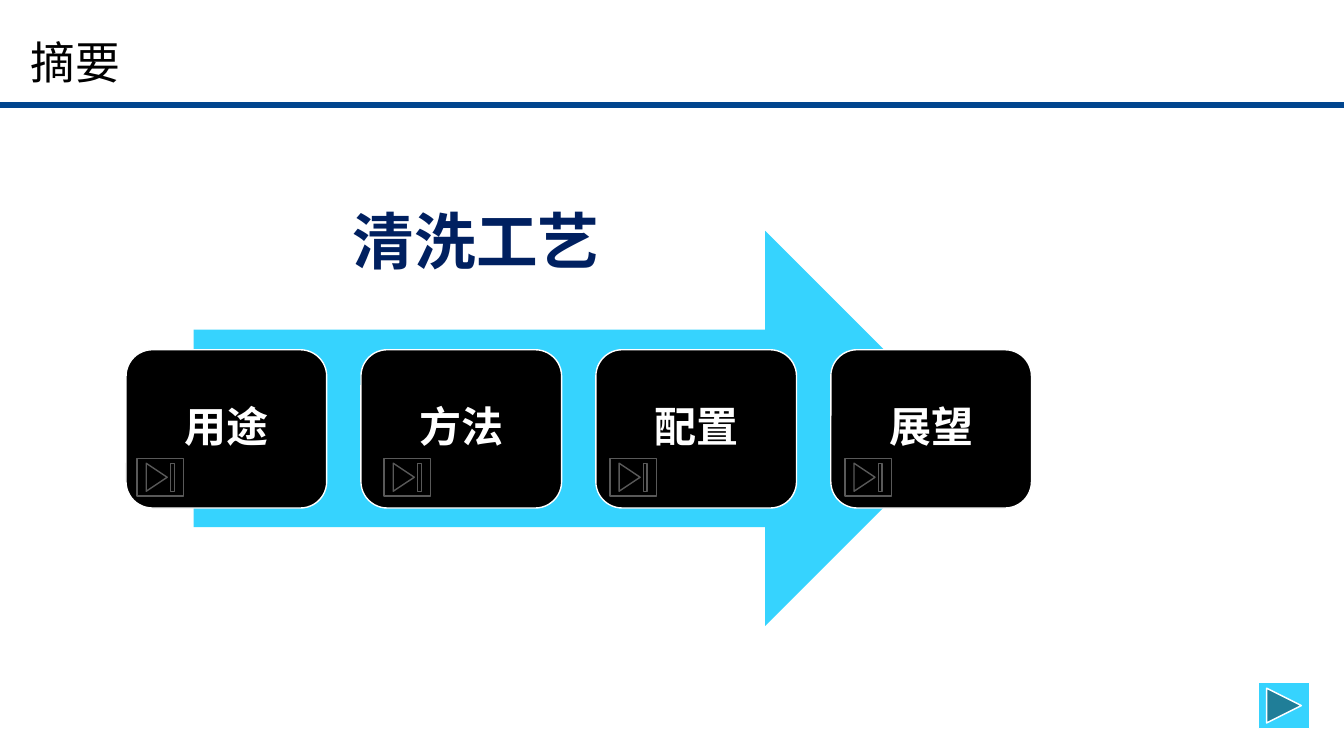
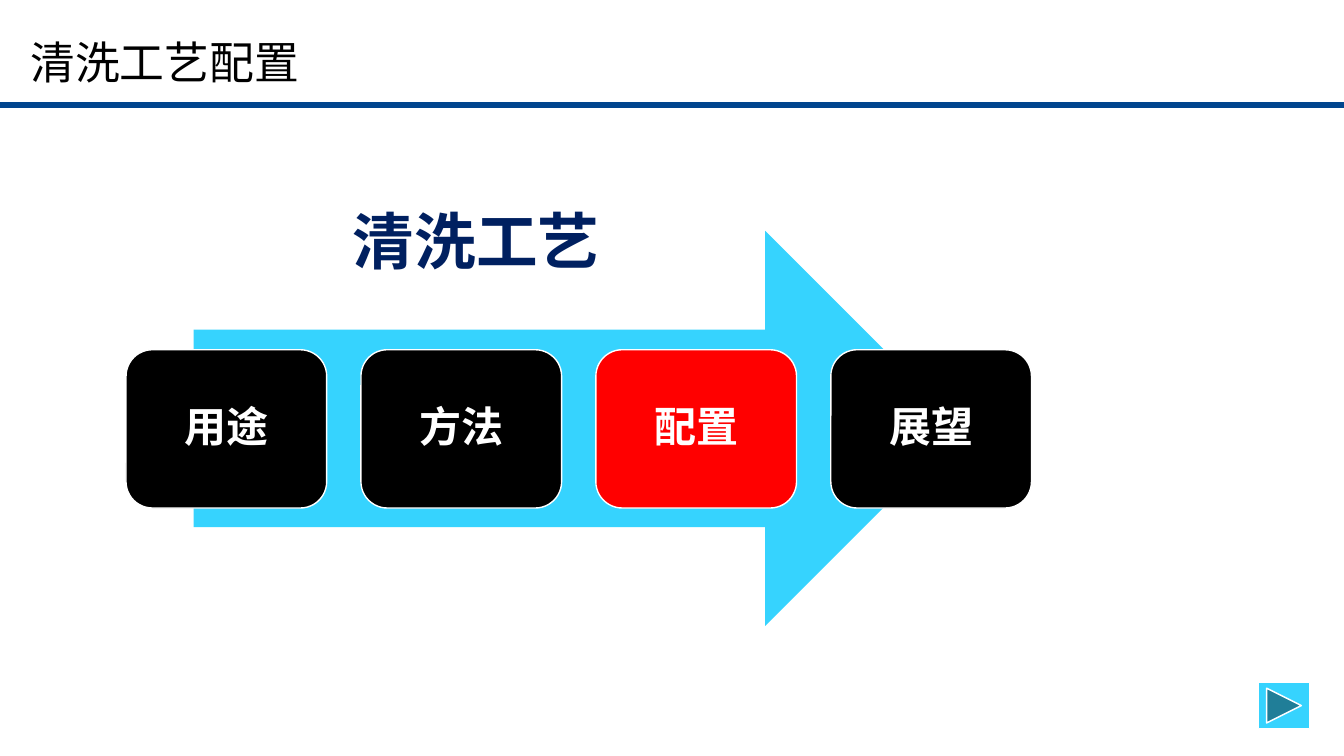
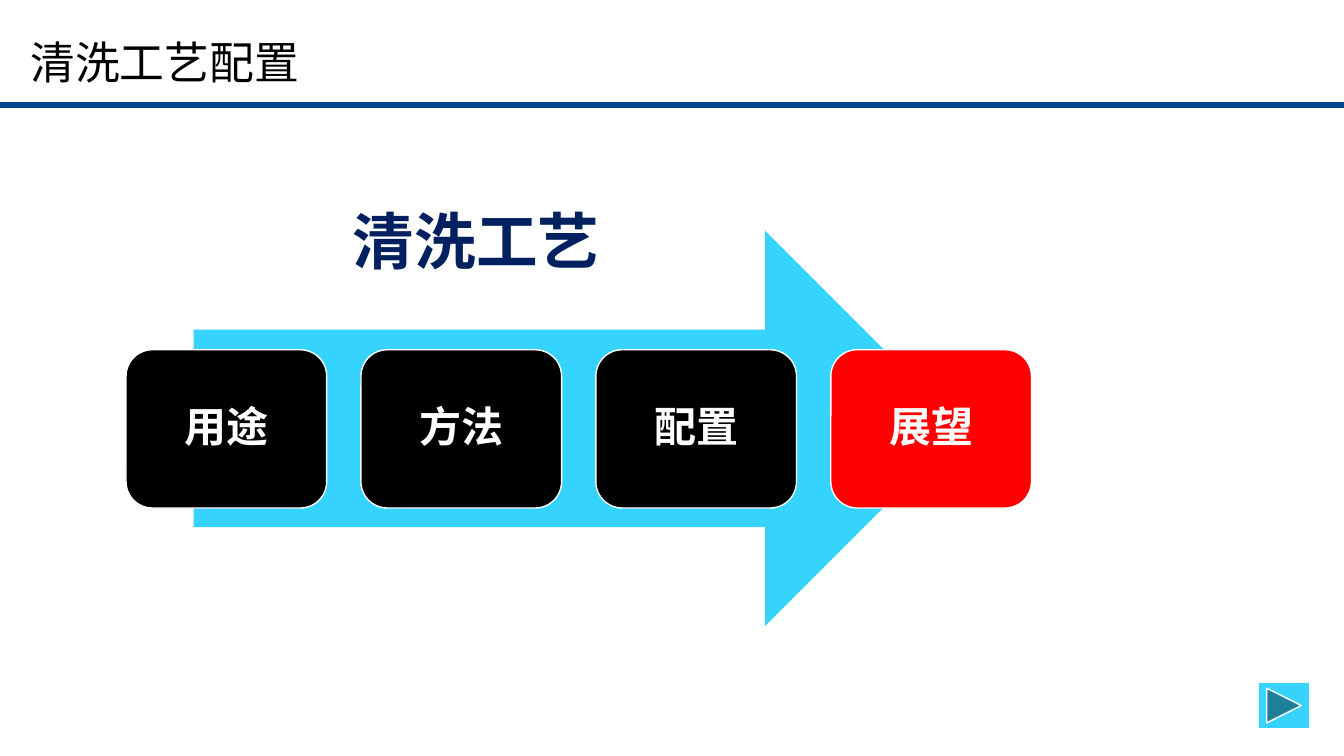
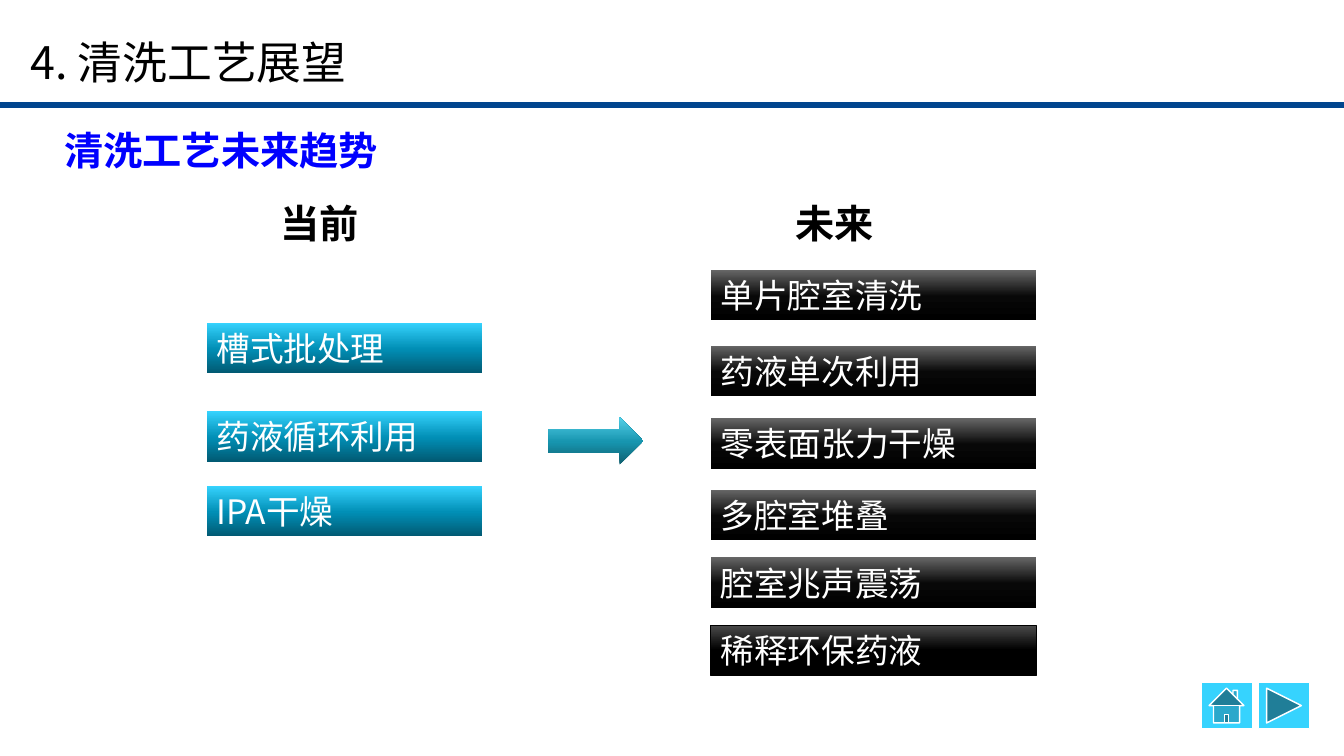
"""Build four slides on the outline and the outlook of a cleaning process."""
from copy import deepcopy

from lxml.etree import SubElement
from pptx import Presentation
from pptx.dml.color import RGBColor
from pptx.enum.shapes import MSO_CONNECTOR, MSO_SHAPE as Shape
from pptx.enum.text import MSO_ANCHOR as Anchor, PP_ALIGN as Align
from pptx.oxml.ns import qn
from pptx.util import Inches, Pt

FONT = "Noto Sans CJK SC"
BLACK, WHITE, RED, NAVY = "000000", "FFFFFF", "FF0000", "002060"
BLUE, CYAN, RULE, GREY = "0000FF", "36D3FE", "01458E", "595959"
CYAN_FADE = (90, [(0, "015A73"), (0.48, "018FB6"), (1, CYAN)])
BLACK_FADE = (90, [(0, BLACK), (0.48, "080808"), (1, "666666")])
LAST_FADE = (270, [(0, "4B4B4B"), (0.5, BLACK), (1, BLACK)])
ARROW_FADE = (90, [(0, "0F5F6F"), (0.48, "1795AF"), (1, "54D0E8")])
color = RGBColor.from_string


def draw(page, kind, area, fill, line=None, width=1):
    """Add a preset shape with a plain or graded fill."""
    shape = page.shapes.add_shape(kind, *map(Inches, area))
    shape.shadow.inherit = False
    if isinstance(fill, str):
        shape.fill.solid()
        shape.fill.fore_color.rgb = color(fill)
    else:
        angle, stops = fill
        shape.fill.gradient()
        shape.fill.gradient_angle = angle
        stop_list = shape.element.spPr.find(".//" + qn("a:gsLst"))
        stop_list.append(deepcopy(stop_list[0]))
        for stop, (position, shade) in zip(shape.fill.gradient_stops, stops):
            stop.position = position
            stop.color.rgb = color(shade)
    if line:
        shape.line.color.rgb = color(line)
        shape.line.width = Pt(width)
    else:
        shape.line.fill.background()
    return shape


def write(shape, text, size, ink, bold=False, align=Align.LEFT, spacing=None, **frame_format):
    """Put one formatted paragraph into a shape."""
    frame = shape.text_frame
    for name, value in ({"word_wrap": True} | frame_format).items():
        setattr(frame, name, value)
    para = frame.paragraphs[0]
    para.alignment = align
    para.line_spacing = spacing
    span = para.add_run()
    span.text = text
    for name, value in {"name": FONT, "size": Pt(size), "bold": bold}.items():
        setattr(span.font, name, value)
    span.font.color.rgb = color(ink)
    SubElement(span.font._element, qn("a:ea"), typeface=FONT)


deck = Presentation()
deck.slide_width, deck.slide_height = Inches(13.33), Inches(7.5)
layout = deck.slide_layouts[5]
title_area = {"left": 0.2, "top": 0.32, "width": 12.8, "height": 0.65}
for name, value in title_area.items():
    setattr(layout.placeholders[0], name, Inches(value))

titles = ["摘要", "清洗工艺配置", "清洗工艺配置", "4. 清洗工艺展望"]
pages = []
for title in titles:
    page = deck.slides.add_slide(layout)
    write(page.shapes.title, title, 32, BLACK, spacing=0.9, vertical_anchor=Anchor.MIDDLE)
    draw(page, Shape.ACTION_BUTTON_FORWARD_OR_NEXT, (12.48, 6.77, 0.51, 0.46), CYAN, WHITE)
    pages.append(page)

rule = pages[0].shapes.add_connector(
    MSO_CONNECTOR.STRAIGHT, 0, Inches(1.04), deck.slide_width, Inches(1.04))
rule.line.color.rgb = color(RULE)
rule.line.width = Pt(4.5)
SubElement(rule.element.spPr, qn("a:effectLst"))
layout.shapes.element.append(rule.element)

steps = ["用途", "方法", "配置", "展望"]
for page, current in zip(pages, [None, "配置", "展望"]):
    draw(page, Shape.RIGHT_ARROW, (1.92, 2.29, 7.63, 3.92), CYAN)
    for index, step in enumerate(steps):
        fill = RED if step == current else BLACK
        card = draw(page, Shape.ROUNDED_RECTANGLE,
                    (1.25 + 2.33 * index, 3.47, 1.99, 1.57), fill, WHITE)
        write(card, step, 30, WHITE, True, Align.CENTER, 0.9, vertical_anchor=Anchor.MIDDLE)
    heading = page.shapes.add_textbox(*map(Inches, (3.36, 1.94, 3.56, 0.88)))
    write(heading, "清洗工艺", 44, NAVY, True,
          margin_left=Inches(0.14), margin_top=Inches(0.07))

for left in (1.36, 3.81, 6.05, 8.38):
    draw(pages[0], Shape.ACTION_BUTTON_END, (left, 4.55, 0.46, 0.37), BLACK, GREY)

outlook = pages[3]
subtitle = outlook.shapes.add_textbox(*map(Inches, (0.33, 1.18, 12.8, 0.61)))
write(subtitle, "清洗工艺未来趋势", 28, BLUE, True,
      margin_left=Inches(0.31), margin_top=Inches(0.07))
for text, left in (("当前", 2.68), ("未来", 7.79)):
    label = outlook.shapes.add_textbox(*map(Inches, (left, 1.93, 0.99, 0.57)))
    write(label, text, 28, BLACK, True, word_wrap=False)

current_bars = [("槽式批处理", 3.2), ("药液循环利用", 4.08), ("IPA干燥", 4.82)]
future_bars = [("单片腔室清洗", 2.68), ("药液单次利用", 3.43), ("零表面张力干燥", 4.15),
               ("多腔室堆叠", 4.86), ("腔室兆声震荡", 5.53)]
last_bar = [("稀释环保药液", 6.2)]
for bars, left, width, fade, line in (
        (current_bars, 2.05, 2.73, CYAN_FADE, None),
        (future_bars, 7.05, 3.23, BLACK_FADE, None),
        (last_bar, 7.05, 3.23, LAST_FADE, BLACK)):
    for text, top in bars:
        bar = draw(outlook, Shape.RECTANGLE, (left, top, width, 0.5), fade, line, 0.5)
        write(bar, text, 24, WHITE, vertical_anchor=Anchor.MIDDLE)
draw(outlook, Shape.RIGHT_ARROW, (5.44, 4.14, 0.94, 0.47), ARROW_FADE)
draw(outlook, Shape.ACTION_BUTTON_HOME, (11.91, 6.77, 0.51, 0.46), CYAN, WHITE)

deck.save("out.pptx")
